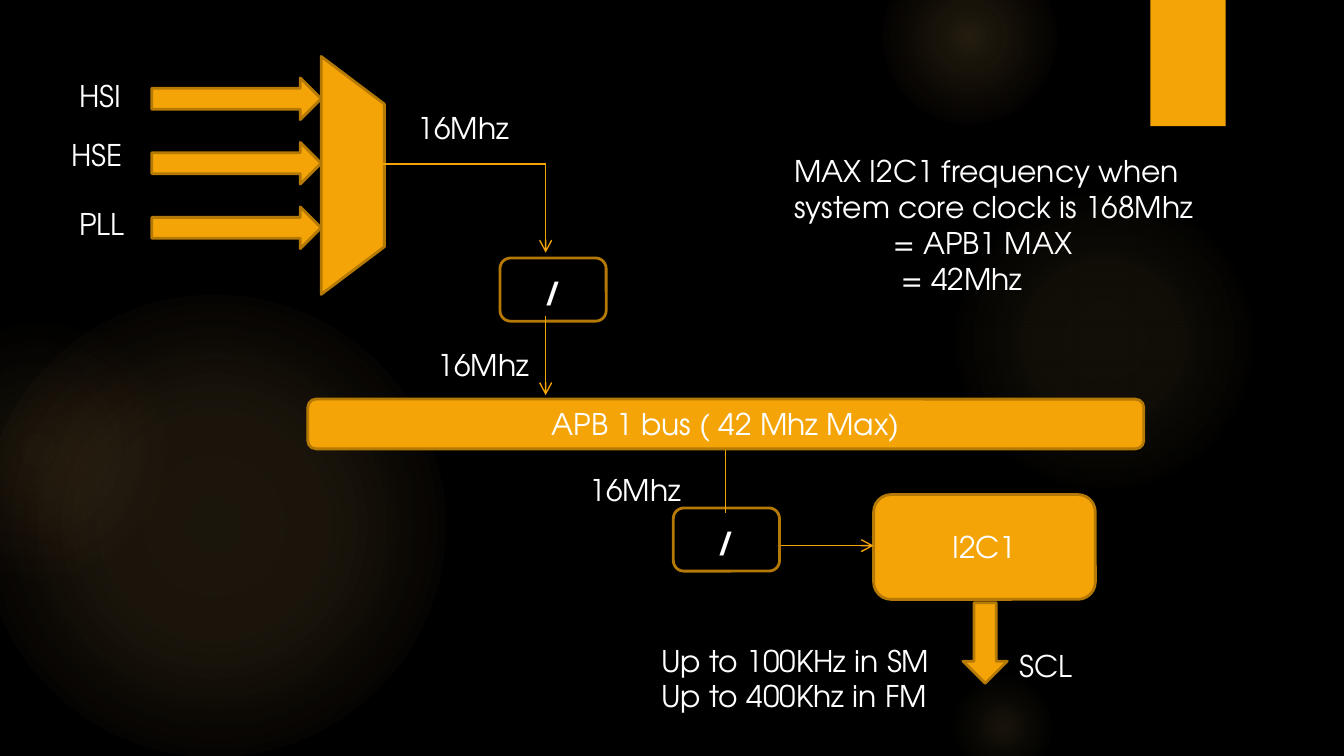
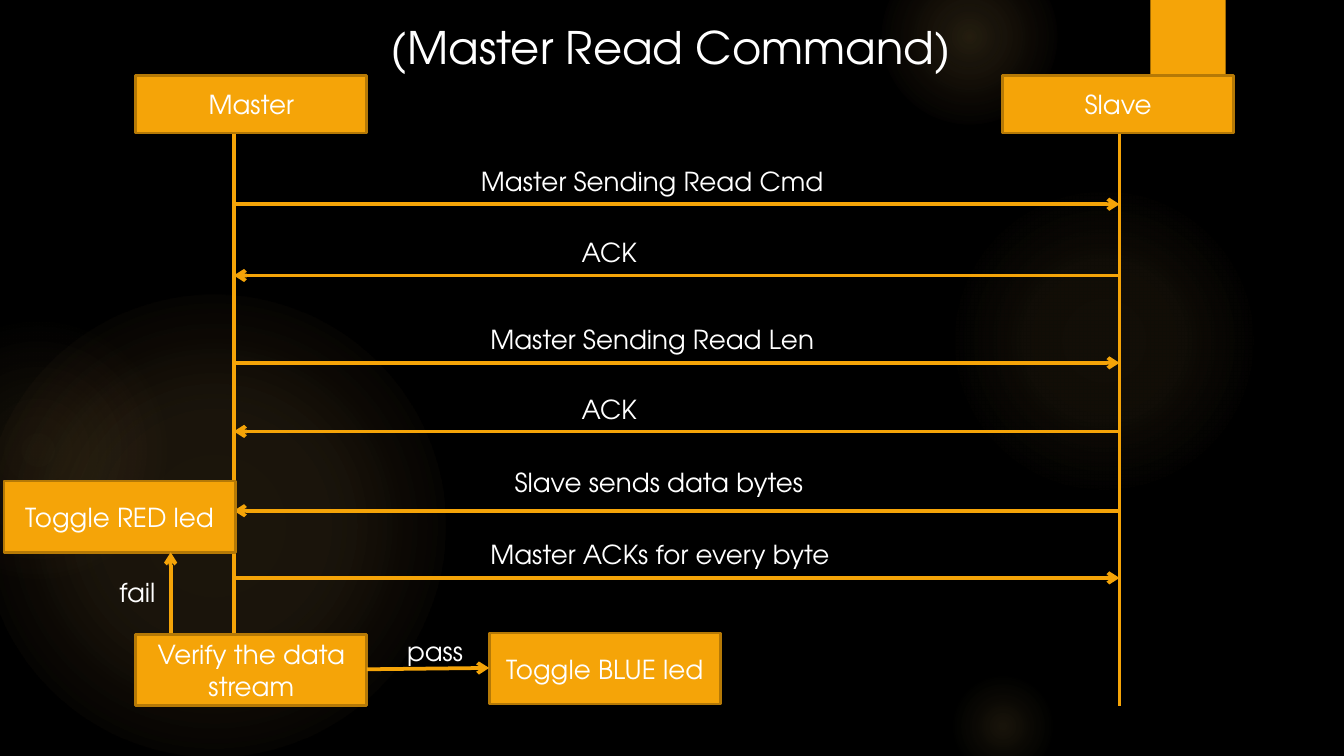
from dataclasses import dataclass

from lxml import etree
from pptx import Presentation
from pptx.dml.color import RGBColor
from pptx.enum import shapes, text
from pptx.oxml import ns
from pptx.util import Inches, Pt


@dataclass(frozen=True)
class Theme:
    font: str = "TeX Gyre Adventor"
    ground: RGBColor = RGBColor.from_string("000000")
    accent: RGBColor = RGBColor.from_string("F5A408")
    edge: RGBColor = RGBColor.from_string("B57906")
    ink: RGBColor = RGBColor.from_string("FFFFFF")
    glow: str = "FAC96A"
    ember: str = "F59B74"
    title: int = 24
    clock: int = 16
    sequence: int = 14


theme = Theme()
kinds = shapes.MSO_SHAPE


def add_box(page, kind, bounds, words="", size=theme.clock, fill=theme.accent, edge=theme.edge):
    place = [Inches(value) for value in bounds]
    if kind is None:
        box = page.shapes.add_textbox(*place)
        box.text_frame.auto_size = text.MSO_AUTO_SIZE.SHAPE_TO_FIT_TEXT
    else:
        box = page.shapes.add_shape(kind, *place)
        box.shadow.inherit = False
        if fill is None:
            box.fill.background()
        else:
            box.fill.solid()
            box.fill.fore_color.rgb = fill
        if edge is None:
            box.line.fill.background()
        else:
            box.line.color.rgb = edge
            box.line.width = Pt(1.5)
    frame = box.text_frame
    frame.word_wrap = kind is not None
    if words:
        frame.text = words
        for para in frame.paragraphs:
            para.alignment = text.PP_ALIGN.LEFT if kind is None else text.PP_ALIGN.CENTER
            para.font.name = theme.font
            para.font.size = Pt(size)
            para.font.color.rgb = theme.ink
    return box


def add_line(page, start, end, width, arrow=True):
    points = [Inches(value) for value in (*start, *end)]
    line = page.shapes.add_connector(shapes.MSO_CONNECTOR.STRAIGHT, *points)
    line.line.color.rgb = theme.accent
    line.line.width = Pt(width)
    if arrow:
        etree.SubElement(line.line._get_or_add_ln(), ns.qn("a:tailEnd"), type="arrow")
    etree.SubElement(line._element.spPr, ns.qn("a:effectLst"))


deck = Presentation()
deck.slide_width = Inches(10)
deck.slide_height = Inches(5.625)
clock_page, sequence_page = [deck.slides.add_slide(deck.slide_layouts[6]) for _ in range(2)]

glows = [
    (-0.13, 2.19, 3.44, theme.glow, [(0, 11), (36, 10), (75, 0)]),
    (-0.69, 2.38, 1.94, theme.ember, [(0, 8), (36, 5), (71, 0)]),
    (7.06, 1.38, 2.31, theme.glow, [(0, 7), (36, 6), (69, 0)]),
    (6.56, -0.38, 1.31, theme.glow, [(0, 14), (36, 7), (73, 0)]),
    (7.06, 5, 0.81, theme.glow, [(0, 10), (31, 5), (66, 0)]),
]
for page in deck.slides:
    page.background.fill.solid()
    page.background.fill.fore_color.rgb = theme.ground
    for left, top, diameter, rim, stops in glows:
        disc = add_box(page, kinds.OVAL, (left, top, diameter, diameter), edge=None)
        stop_xml = "".join(
            f'<a:gs pos="{position * 1000}"><a:srgbClr val="{theme.glow if alpha else rim}">'
            f'<a:alpha val="{alpha * 1000}"/></a:srgbClr></a:gs>'
            for position, alpha in stops
        )
        gradient = etree.fromstring(
            f'<a:gradFill {ns.nsdecls("a")} rotWithShape="1"><a:gsLst>{stop_xml}</a:gsLst>'
            '<a:path path="circle"><a:fillToRect l="50000" t="50000" r="50000" b="50000"/></a:path>'
            "</a:gradFill>"
        )
        properties = disc._element.spPr
        properties.replace(properties.find(ns.qn("a:solidFill")), gradient)
    add_box(page, kinds.RECTANGLE, (8.56, 0, 0.56, 0.94), edge=None)

add_box(clock_page, kinds.ROUNDED_RECTANGLE, (2.29, 2.97, 6.22, 0.37), "APB 1 bus ( 42 Mhz Max)")
add_box(clock_page, kinds.ROUNDED_RECTANGLE, (6.5, 3.68, 1.65, 0.78), "I2C1")
for left, top in [(3.72, 1.92), (5.01, 3.78)]:
    divider = add_box(clock_page, kinds.ROUNDED_RECTANGLE, (left, top, 0.79, 0.47), "/", fill=None)
    divider.text_frame.paragraphs[0].font.bold = True
    divider.text_frame.paragraphs[0].font.italic = True

selector = add_box(clock_page, kinds.FLOWCHART_MANUAL_OPERATION, (1.74, 1.07, 1.77, 0.47))
selector.rotation = 270
for row in range(3):
    add_box(clock_page, kinds.RIGHT_ARROW, (1.13, 0.58 + 0.48 * row, 1.26, 0.31))
clock_output = add_box(clock_page, kinds.RIGHT_ARROW, (7.03, 4.62, 0.6, 0.33))
clock_output.rotation = 90

for start, end, arrow in [
    ((2.85, 1.22), (4.06, 1.22), False),
    ((4.06, 1.22), (4.06, 1.88), True),
    ((4.06, 2.35), (4.06, 2.94), True),
    ((5.4, 3.35), (5.4, 3.82), False),
    ((5.81, 4.06), (6.5, 4.06), True),
]:
    add_line(clock_page, start, end, 0.75, arrow)

for words, left, top, width in [
    ("HSI", 0.49, 0.53, 0.52),
    ("HSE", 0.43, 0.97, 0.59),
    ("PLL", 0.49, 1.48, 0.54),
    ("16Mhz", 3.01, 0.77, 0.89),
    ("16Mhz", 3.16, 2.53, 0.89),
    ("16Mhz", 4.29, 3.46, 0.89),
    ("SCL", 7.49, 4.77, 0.6),
]:
    add_box(clock_page, None, (left, top, width, 0.37), words)
add_box(clock_page, None, (4.82, 4.73, 2.22, 0.64), "Up to 100KHz in SM\nUp to 400Khz in FM")
limit = add_box(
    clock_page, None, (5.81, 1.09, 3.22, 1.18),
    "MAX I2C1 frequency when\nsystem core clock is 168Mhz\n= APB1 MAX\n= 42Mhz",
)
for para, indent in zip(limit.text_frame.paragraphs[2:], (0.74, 0.8)):
    para._p.get_or_add_pPr().set("marL", str(Inches(indent)))

master_x, slave_x = 1.74, 8.33
add_line(sequence_page, (master_x, 0.99), (master_x, 4.72), 2, False)
add_line(sequence_page, (slave_x, 0.99), (slave_x, 5.25), 2, False)

for words, left, width, label_top, line_y, from_master in [
    ("Master Sending Read Cmd", 3.48, 2.78, 1.18, 1.52, True),
    ("ACK", 4.23, 0.62, 1.71, 2.05, False),
    ("Master Sending Read Len", 3.55, 2.64, 2.36, 2.7, True),
    ("ACK", 4.23, 0.62, 2.88, 3.21, False),
    ("Slave sends data bytes", 3.73, 2.39, 3.42, 3.8, False),
    ("Master ACKs for every byte", 3.55, 2.83, 3.96, 4.3, True),
]:
    start_x, end_x = (master_x, slave_x) if from_master else (slave_x, master_x)
    add_line(sequence_page, (start_x, line_y), (end_x, line_y), 2)
    add_box(sequence_page, None, (left, label_top, width, 0.34), words, theme.sequence)

for words, left, top, height in [
    ("Master", 1.01, 0.56, 0.43),
    ("Slave", 7.46, 0.56, 0.43),
    ("Toggle BLUE led", 3.64, 4.71, 0.53),
    ("Verify the data stream", 1.01, 4.72, 0.53),
    ("Toggle RED led", 0.03, 3.58, 0.53),
]:
    add_box(sequence_page, kinds.RECTANGLE, (left, top, 1.72, height), words, theme.sequence)

add_line(sequence_page, (2.73, 4.98), (3.64, 4.97), 2)
add_line(sequence_page, (1.27, 4.71), (1.27, 4.11), 2)
add_box(sequence_page, None, (2.93, 4.68, 0.62, 0.34), "pass", theme.sequence)
add_box(sequence_page, None, (0.79, 4.24, 0.48, 0.34), "fail", theme.sequence)
add_box(sequence_page, None, (2.81, 0.1, 4.42, 0.5), "(Master Read Command)", theme.title)

deck.save("out.pptx")
